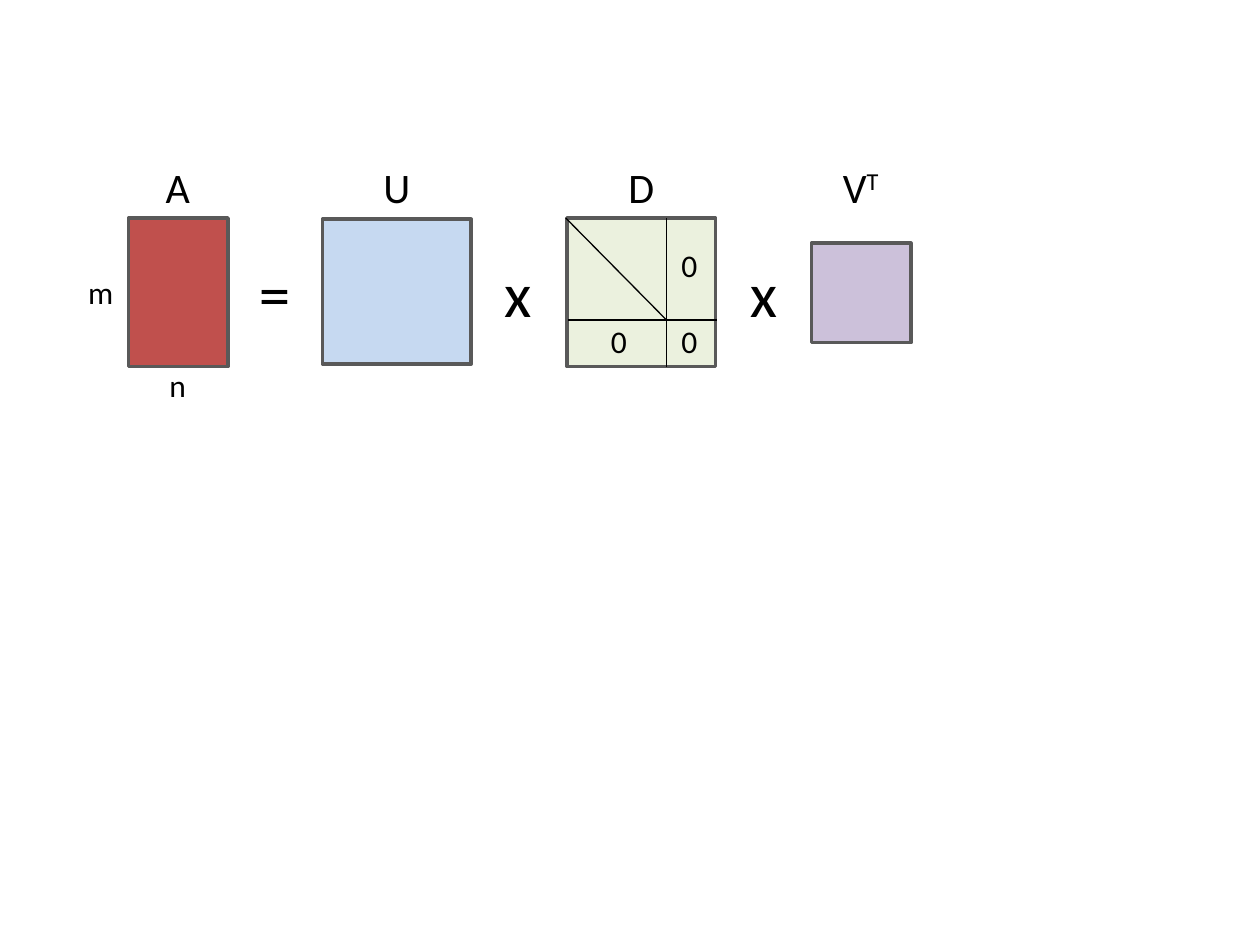
from dataclasses import dataclass

import pptx
import pptx.dml.color
import pptx.enum.shapes
import pptx.enum.text
import pptx.oxml.ns
import pptx.presentation
import pptx.slide
import pptx.util
from lxml import etree
from pptx.util import Inches

FONT = "Calibri"
BLACK = "000000"
OUTLINE = "595959"


@dataclass(frozen=True)
class Matrix:
    left: float
    top: float
    width: float
    height: float
    fill: str


@dataclass(frozen=True)
class Label:
    text: str
    left: float
    top: float
    width: float
    height: float
    size: int
    superscript: str = ""


@dataclass(frozen=True)
class Divider:
    start: tuple[float, float]
    end: tuple[float, float]


def color(value: str) -> pptx.dml.color.RGBColor:
    return pptx.dml.color.RGBColor.from_string(value)


def name_label(text: str, left: float, superscript: str = "") -> Label:
    return Label(text, left, 1.23, 0.72, 0.5, 24, superscript)


def operator_label(text: str, left: float) -> Label:
    return Label(text, left, 1.97, 0.72, 0.71, 36)


def size_label(text: str, left: float, top: float) -> Label:
    return Label(text, left, top, 0.72, 0.4, 18)


def zero_label(left: float, top: float) -> Label:
    return Label("0", left, top, 0.31, 0.4, 18)


MATRICES = [
    Matrix(1.02, 1.73, 0.79, 1.18, "C0504D"),
    Matrix(2.56, 1.74, 1.18, 1.15, "C6D9F1"),
    Matrix(4.5, 1.73, 1.18, 1.18, "EBF1DE"),
    Matrix(6.44, 1.93, 0.79, 0.79, "CCC1DA"),
]

DIVIDERS = [
    Divider((5.29, 1.73), (5.29, 2.91)),
    Divider((5.69, 2.54), (4.51, 2.54)),
    Divider((4.49, 1.73), (5.29, 2.54)),
]

LABELS = [
    name_label("A", 1.05),
    name_label("U", 2.79),
    name_label("D", 4.73),
    name_label("V", 6.47, "T"),
    operator_label("=", 1.82),
    operator_label("x", 3.75),
    operator_label("x", 5.7),
    size_label("m", 0.44, 2.12),
    size_label("n", 1.05, 2.86),
    zero_label(5.31, 1.9),
    zero_label(5.31, 2.51),
    zero_label(4.75, 2.51),
]


def draw_matrix(slide: pptx.slide.Slide, matrix: Matrix) -> None:
    shape = slide.shapes.add_shape(
        pptx.enum.shapes.MSO_SHAPE.RECTANGLE,
        Inches(matrix.left),
        Inches(matrix.top),
        Inches(matrix.width),
        Inches(matrix.height),
    )
    shape.shadow.inherit = False
    shape.fill.solid()
    shape.fill.fore_color.rgb = color(matrix.fill)
    shape.line.color.rgb = color(OUTLINE)
    shape.line.width = pptx.util.Pt(2)


def draw_divider(slide: pptx.slide.Slide, divider: Divider) -> None:
    connector = slide.shapes.add_connector(
        pptx.enum.shapes.MSO_CONNECTOR.STRAIGHT,
        *map(Inches, divider.start + divider.end),
    )
    connector.line.color.rgb = color(BLACK)
    connector.line.width = pptx.util.Pt(0.75)
    etree.SubElement(connector._element.spPr, pptx.oxml.ns.qn("a:effectLst"))


def draw_label(slide: pptx.slide.Slide, label: Label) -> None:
    shape = slide.shapes.add_textbox(
        Inches(label.left), Inches(label.top), Inches(label.width), Inches(label.height)
    )
    text_frame = shape.text_frame
    text_frame.word_wrap = True
    text_frame.auto_size = pptx.enum.text.MSO_AUTO_SIZE.SHAPE_TO_FIT_TEXT
    text_frame.text = label.text
    paragraph = text_frame.paragraphs[0]
    paragraph.alignment = pptx.enum.text.PP_ALIGN.CENTER
    if label.superscript:
        run = paragraph.add_run()
        run.text = label.superscript
        run._r.get_or_add_rPr().set("baseline", "30000")
    for run in paragraph.runs:
        run.font.name = FONT
        run.font.size = pptx.util.Pt(label.size)
        run.font.color.rgb = color(BLACK)


def main() -> None:
    presentation = pptx.Presentation()
    presentation.slide_width = Inches(10)
    presentation.slide_height = Inches(7.5)
    slide = presentation.slides.add_slide(presentation.slide_layouts[6])
    for matrix in MATRICES:
        draw_matrix(slide, matrix)
    for divider in DIVIDERS:
        draw_divider(slide, divider)
    for label in LABELS:
        draw_label(slide, label)
    presentation.save("out.pptx")


if __name__ == "__main__":
    main()
